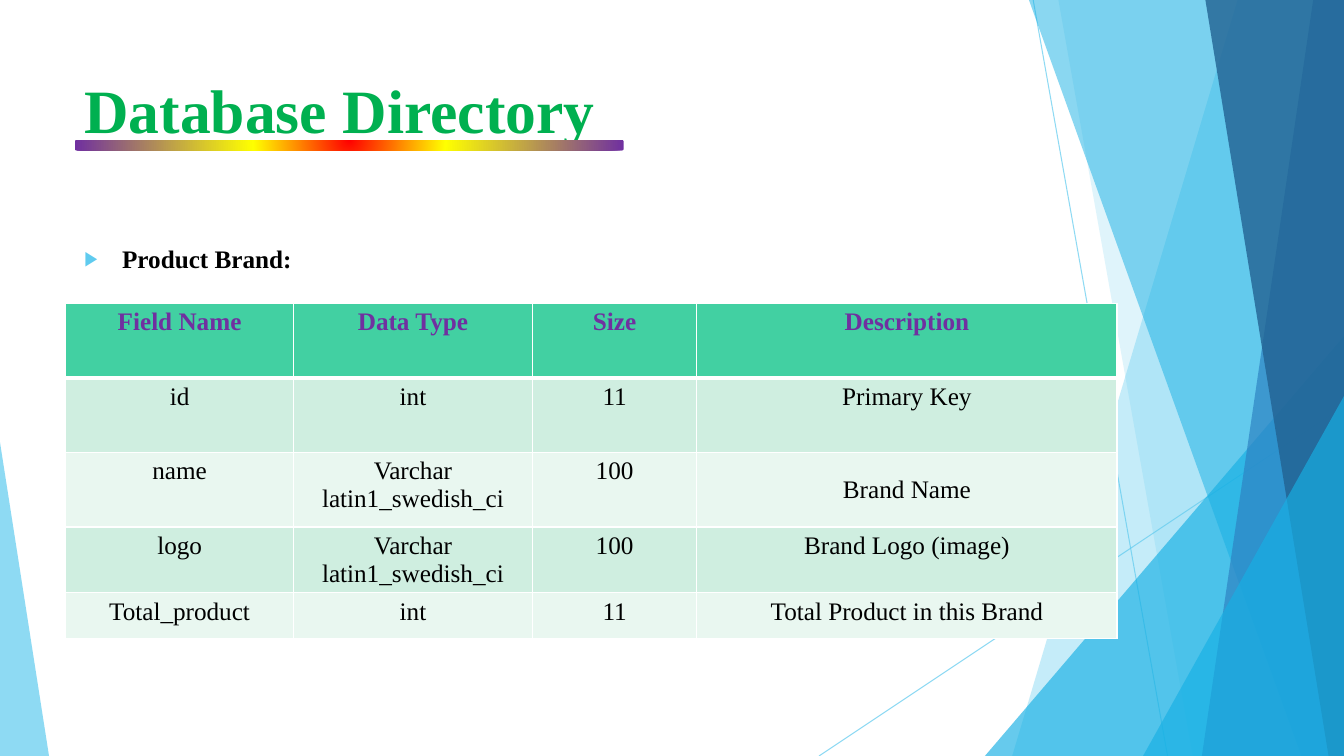
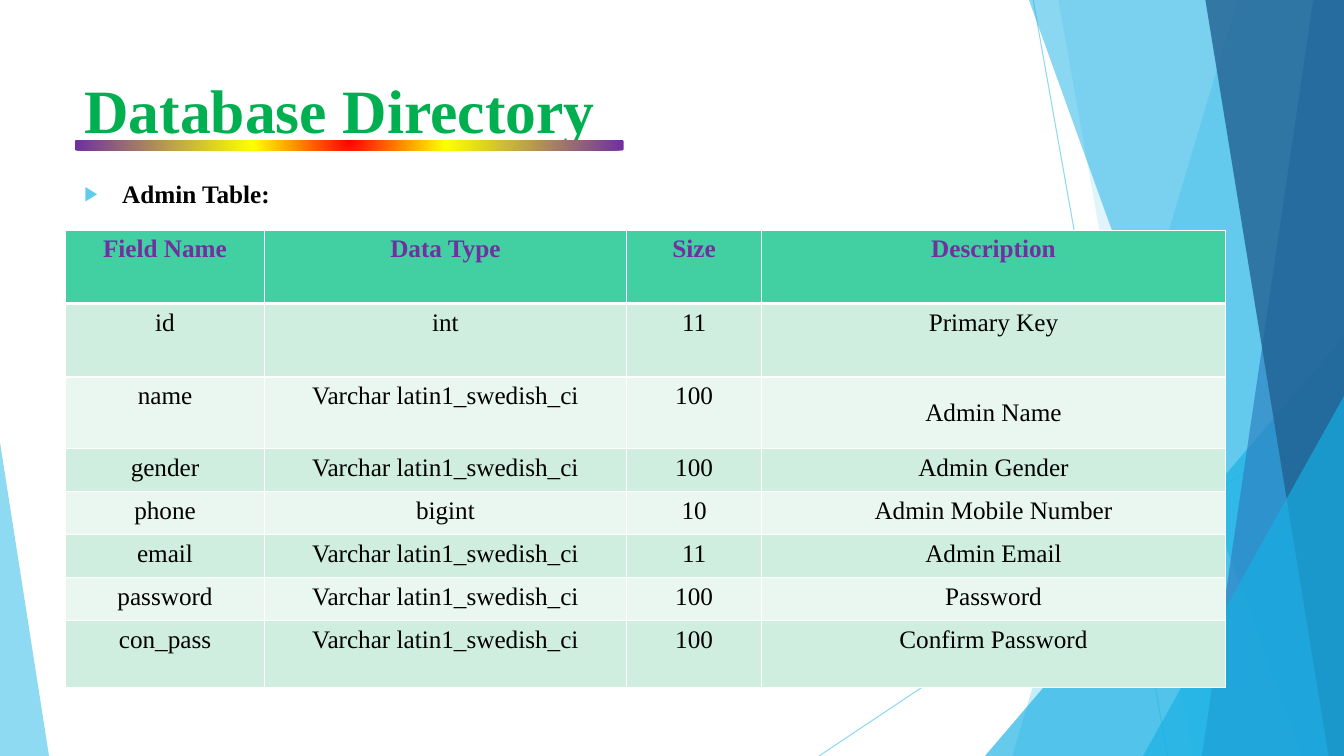
from lxml.etree import SubElement
from pptx import Presentation
from pptx.dml.color import RGBColor
from pptx.enum.shapes import MSO_CONNECTOR, MSO_SHAPE
from pptx.enum.text import MSO_ANCHOR, MSO_AUTO_SIZE, PP_ALIGN
from pptx.oxml.ns import qn
from pptx.util import Pt

W, H = 960, 540
FONT = "Times New Roman"
BLACK, WHITE, GREEN, PURPLE = "000000", "FFFFFF", "00B050", "7030A0"
SKY, CYAN, BLUE, NAVY = "5FCBEF", "17B0E4", "2E83C3", "226292"
HEADER, BANDS = "42D0A2", ("CFEEE0", "E9F7F0")
RAINBOW = ((0, "FF0000"), (35, "FFFF00"), (100, PURPLE))

FIELDS = ("Field Name", "Data Type", "Size", "Description")
TEXT_TYPE = "Varchar latin1_swedish_ci"
BRAND_ROWS = (
    FIELDS,
    ("id", "int", "11", "Primary Key"),
    ("name", TEXT_TYPE, "100", "Brand Name"),
    ("logo", TEXT_TYPE, "100", "Brand Logo (image)"),
    ("Total_product", "int", "11", "Total Product in this Brand"),
)
ADMIN_ROWS = (
    FIELDS,
    ("id", "int", "11", "Primary Key"),
    ("name", TEXT_TYPE, "100", "Admin Name"),
    ("gender", TEXT_TYPE, "100", "Admin Gender"),
    ("phone", "bigint", "10", "Admin Mobile Number"),
    ("email", TEXT_TYPE, "11", "Admin Email"),
    ("password", TEXT_TYPE, "100", "Password"),
    ("con_pass", TEXT_TYPE, "100", "Confirm Password"),
)


def paint(fill, color):
    fill.solid()
    fill.fore_color.rgb = RGBColor.from_string(color)


def add(parent, tag, **attrs):
    return SubElement(parent, qn(tag), {k: str(v) for k, v in attrs.items()})


class Deck:
    """Holds the shared style and the current slide."""

    def __init__(self):
        self.prs = Presentation()
        self.prs.slide_width, self.prs.slide_height = Pt(W), Pt(H)
        self.layout = self.prs.slide_layouts[1]
        for ph in list(self.layout.placeholders):
            if ph.placeholder_format.idx >= 10:
                ph.element.getparent().remove(ph.element)

    def slide(self):
        self.s = self.prs.slides.add_slide(self.layout)

    def style(self, p, size, color, bold):
        p.font.name, p.font.size, p.font.bold = FONT, Pt(size), bold
        paint(p.font.fill, color)

    def place(self, idx, text, left, top, width, height):
        sp = self.s.placeholders[idx]
        sp.left, sp.top, sp.width, sp.height = map(Pt, (left, top, width, height))
        tf = sp.text_frame
        tf.text = text
        tf.auto_size, tf.vertical_anchor = MSO_AUTO_SIZE.NONE, MSO_ANCHOR.TOP
        p = tf.paragraphs[0]
        p.alignment = PP_ALIGN.LEFT
        return p

    def title(self, text):
        p = self.place(0, text, 53, 48, 695, 104)
        self.style(p, 44, GREEN, True)
        self.rule()

    def rule(self):
        sp = self.s.shapes.add_shape(
            MSO_SHAPE.ROUNDED_RECTANGLE, Pt(53.5), Pt(100), Pt(392), Pt(7.5))
        sp.shadow.inherit = False
        sp.line.fill.background()
        sp.fill.gradient()
        grad = sp.element.spPr.find(qn("a:gradFill"))
        for child in list(grad):
            grad.remove(child)
        stops = add(grad, "a:gsLst")
        for pos, color in RAINBOW:
            add(add(stops, "a:gs", pos=pos * 1000), "a:srgbClr", val=color)
        add(add(grad, "a:path", path="circle"), "a:fillToRect",
            l=50000, t=-80000, r=50000, b=180000)

    def bullet(self, text, top):
        p = self.place(1, text, 53, top, 677, 476 - top)
        self.style(p, 18, BLACK, True)
        p.space_before = Pt(10)
        pPr = p._p.get_or_add_pPr()
        pPr.set("marL", str(Pt(27)))
        pPr.set("indent", str(Pt(-27)))
        add(add(pPr, "a:buClr"), "a:srgbClr", val=SKY)
        add(pPr, "a:buSzPct", val=80000)
        add(pPr, "a:buChar", char="▶")

    def table(self, rows, top, widths, heights):
        frame = self.s.shapes.add_table(
            len(rows), len(widths), Pt(47), Pt(top), Pt(sum(widths)), Pt(sum(heights)))
        table = frame.table
        for col, width in zip(table.columns, widths):
            col.width = Pt(width)
        for i, (row, height) in enumerate(zip(rows, heights)):
            table.rows[i].height = Pt(height)
            for j, text in enumerate(row):
                self.cell(table.cell(i, j), text, i)
        table.cell(2, 3).vertical_anchor = MSO_ANCHOR.MIDDLE

    def cell(self, cell, text, i):
        header = i == 0
        cell.text = text
        p = cell.text_frame.paragraphs[0]
        p.alignment = PP_ALIGN.CENTER
        self.style(p, 18, PURPLE if header else BLACK, header)
        tcPr = cell._tc.get_or_add_tcPr()
        thick = {"a:lnB": 0, "a:lnT": 1}
        for side in ("a:lnL", "a:lnR", "a:lnT", "a:lnB"):
            ln = add(tcPr, side, w=Pt(3 if thick.get(side) == i else 1))
            add(add(ln, "a:solidFill"), "a:srgbClr", val=WHITE)
        paint(cell.fill, HEADER if header else BANDS[(i - 1) % 2])

    def fade(self, sp, alpha):
        add(sp.element.find(".//" + qn("a:srgbClr")), "a:alpha", val=alpha * 1000)
        return sp

    def facet(self, sp, color, alpha):
        sp.shadow.inherit = False
        paint(sp.fill, color)
        sp.line.fill.background()
        return self.fade(sp, alpha)

    def ray(self, x1, y1, x2, y2):
        line = self.s.shapes.add_connector(
            MSO_CONNECTOR.STRAIGHT, Pt(x1), Pt(y1), Pt(x2), Pt(y2))
        line.line.width = Pt(0.75)
        paint(line.line.fill, SKY)
        add(line.element.spPr, "a:effectLst")
        return self.fade(line, 70)

    def shard(self, x_top, x_bottom, color, alpha):
        fb = self.s.shapes.build_freeform(Pt(x_top), 0)
        fb.add_line_segments(
            [(Pt(W), 0), (Pt(W), Pt(H)), (Pt(x_bottom), Pt(H))], close=True)
        return self.facet(fb.convert_to_shape(), color, alpha)

    def triangle(self, left, top, width, apex, color, alpha):
        sp = self.s.shapes.add_shape(
            MSO_SHAPE.ISOSCELES_TRIANGLE, Pt(left), Pt(top), Pt(width), Pt(H - top))
        sp.adjustments[0] = apex
        return self.facet(sp, color, alpha)

    def backdrop(self):
        shapes = (
            self.ray(738, 0, 834, H),
            self.ray(W, 290, 585, H),
            self.shard(884, 723, SKY, 36),
            self.shard(756, 852, SKY, 20),
            self.triangle(703.5, 240, 256.5, 1, CYAN, 66),
            self.shard(735, 929.5, CYAN, 50),
            self.shard(938, 858.5, BLUE, 70),
            self.shard(861, 949, NAVY, 80),
            self.triangle(816.5, 283, 143.5, 1, CYAN, 66),
            self.triangle(0, 316, 35, 0, SKY, 70),
        )
        for i, sp in enumerate(shapes, 2):
            self.layout.shapes.element.insert(i, sp.element)


def main():
    d = Deck()
    pages = (
        ("Product Brand:", 170, BRAND_ROWS, 216.5,
         (162.7, 170.7, 117.4, 300.2), (53.3,) * 3 + (32.4,) * 2),
        ("Admin Table:", 123.5, ADMIN_ROWS, 164.5,
         (141.8, 258.8, 96.5, 331.2), (52.4, 52.4, 51.2) + (30.7,) * 4 + (48,)),
    )
    for label, label_top, rows, top, widths, heights in pages:
        d.slide()
        d.title("Database Directory")
        d.bullet(label, label_top)
        d.table(rows, top, widths, heights)
    d.backdrop()
    d.prs.save("out.pptx")


if __name__ == "__main__":
    main()
